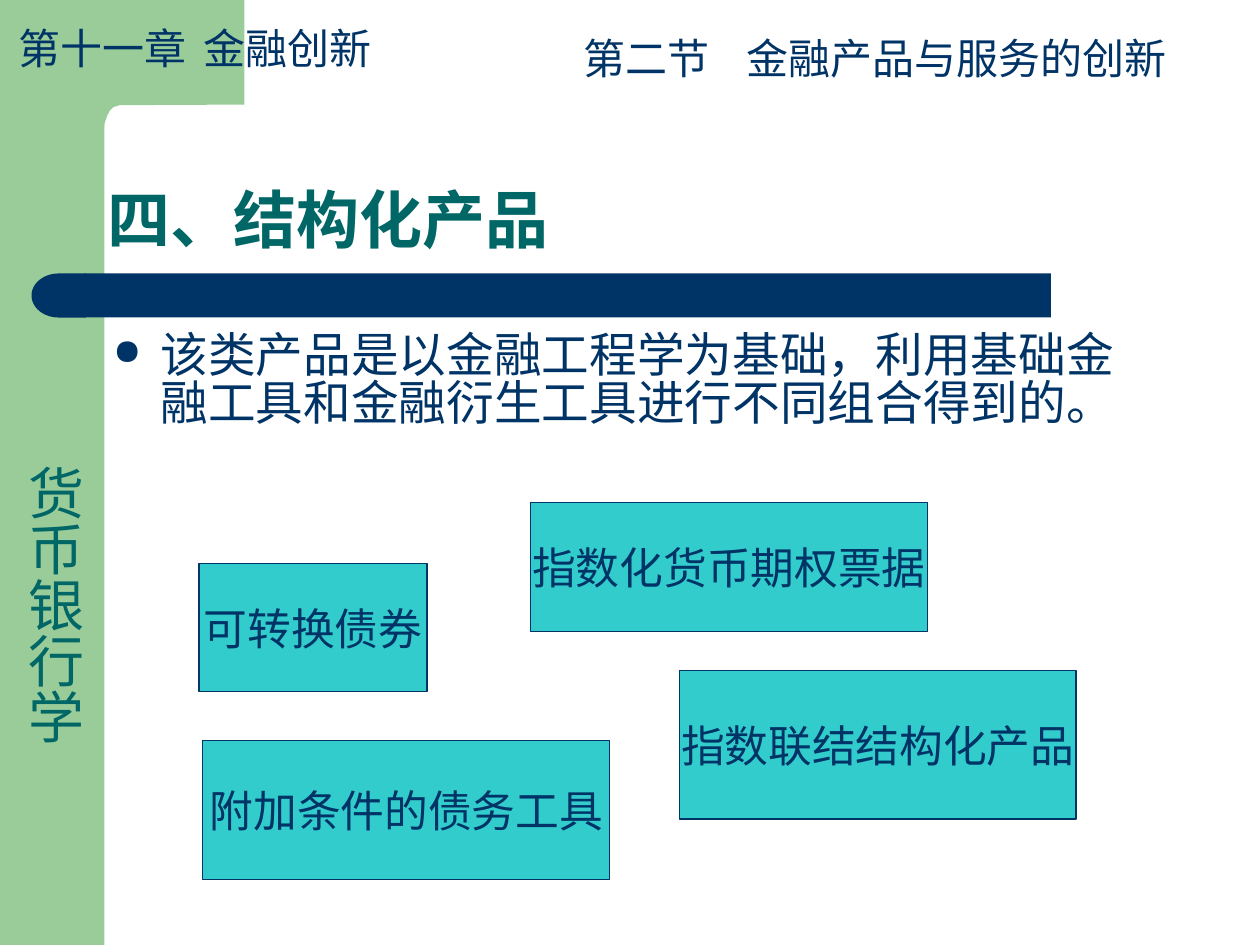
import pptx
import pptx.dml.color
import pptx.enum.shapes
import pptx.enum.text
import pptx.oxml.ns
import pptx.util
import lxml.etree

NAVY = pptx.dml.color.RGBColor(0x00, 0x33, 0x66)
TEAL = pptx.dml.color.RGBColor(0x00, 0x66, 0x66)
LEAF = pptx.dml.color.RGBColor(0x99, 0xCC, 0x99)
AQUA = pptx.dml.color.RGBColor(0x33, 0xCC, 0xCC)
ANCHOR = pptx.enum.text.MSO_ANCHOR
ALIGN = pptx.enum.text.PP_ALIGN
SHAPE = pptx.enum.shapes.MSO_SHAPE


class LectureSlide:
    font_name = "Arial"
    columns = 100
    rows = 75

    def __init__(self, presentation):
        self.column = presentation.slide_width / self.columns
        self.row = presentation.slide_height / self.rows
        self.slide = presentation.slides.add_slide(presentation.slide_layouts[5])

    def place(self, left, top, width, height):
        return (round(left * self.column), round(top * self.row),
                round(width * self.column), round(height * self.row))

    def add_words(self, shape, text, size, color, bold=False, anchor=ANCHOR.TOP,
                  align=ALIGN.LEFT, wrap=True):
        frame = shape.text_frame
        frame.auto_size = pptx.enum.text.MSO_AUTO_SIZE.NONE
        frame.word_wrap = wrap
        frame.vertical_anchor = anchor
        paragraph = frame.paragraphs[0]
        paragraph.alignment = align
        run = paragraph.add_run()
        run.text = text
        run.font.name = self.font_name
        run.font.size = pptx.util.Pt(size)
        run.font.bold = bold
        run.font.color.rgb = color
        return paragraph

    def title(self, text, area):
        shape = self.slide.shapes.title
        shape.left, shape.top, shape.width, shape.height = self.place(*area)
        paragraph = self.add_words(shape, text, 36, TEAL, True, ANCHOR.BOTTOM)
        paragraph.line_spacing = 0.9

    def paint(self, shape, color):
        shape.shadow.inherit = False
        shape.fill.solid()
        shape.fill.fore_color.rgb = color
        shape.line.fill.background()
        return shape

    def block(self, kind, area, color):
        shape = self.slide.shapes.add_shape(kind, *self.place(*area))
        return self.paint(shape, color)

    def outline(self, points, color):
        corners = [self.place(x, y, 0, 0)[:2] for x, y in points]
        builder = self.slide.shapes.build_freeform(*corners[0], scale=1.0)
        builder.add_line_segments(corners[1:], close=True)
        self.paint(builder.convert_to_shape(), color)

    def text(self, text, area, size, color):
        shape = self.slide.shapes.add_textbox(*self.place(*area))
        return shape, self.add_words(shape, text, size, color)

    def heading(self, number, name, area, stop):
        paragraph = self.text(f"{number}\t{name}", area, 24, NAVY)[1]
        properties = paragraph._p.get_or_add_pPr()
        tabs = lxml.etree.SubElement(properties, pptx.oxml.ns.qn("a:tabLst"))
        lxml.etree.SubElement(tabs, pptx.oxml.ns.qn("a:tab"),
                              pos=str(round(stop * self.column)), algn="l")

    def vertical(self, text, area):
        shape = self.text(text, area, 32, TEAL)[0]
        frame = shape.text_frame
        frame.margin_left = frame.margin_right = pptx.util.Inches(0.05)
        frame.margin_top = frame.margin_bottom = pptx.util.Inches(0.1)
        frame._txBody.bodyPr.set("vert", "eaVert")

    def bullet(self, text, area):
        paragraph = self.text(text, area, 27.2, NAVY)[1]
        paragraph.line_spacing = 0.83
        properties = paragraph._p.get_or_add_pPr()
        indent = round(3.75 * self.column)
        properties.set("marL", str(indent))
        properties.set("indent", str(-indent))
        color = lxml.etree.SubElement(properties, pptx.oxml.ns.qn("a:buClr"))
        lxml.etree.SubElement(color, pptx.oxml.ns.qn("a:srgbClr"), val=str(NAVY))
        lxml.etree.SubElement(properties, pptx.oxml.ns.qn("a:buSzPct"), val="75000")
        lxml.etree.SubElement(properties, pptx.oxml.ns.qn("a:buChar"), char="●")

    def product(self, text, area):
        shape = self.block(SHAPE.RECTANGLE, area, AQUA)
        shape.line.color.rgb = NAVY
        shape.line.width = pptx.util.Pt(0.75)
        self.add_words(shape, text, 25, NAVY, anchor=ANCHOR.MIDDLE,
                       align=ALIGN.CENTER, wrap=False)


def main():
    presentation = pptx.Presentation()
    presentation.slide_width = pptx.util.Inches(10)
    presentation.slide_height = pptx.util.Inches(7.5)
    lecture = LectureSlide(presentation)

    lecture.block(SHAPE.RECTANGLE, (0, 0, 8.3, 75), LEAF)
    lecture.outline([(19.4, 0), (19.4, 8.3), (9.5, 8.35), (9, 8.5), (8.7, 8.8),
                     (8.5, 9.2), (8.3, 9.8), (8.2, 10.4), (8.1, 11.6),
                     (8.1, 12.8), (6.7, 12.8), (6.7, 0)], LEAF)
    lecture.block(SHAPE.RECTANGLE, (6.7, 21.7, 76.7, 3.5), NAVY)
    cap = lecture.block(SHAPE.FLOWCHART_DELAY, (2.5, 21.7, 4.3, 3.5), NAVY)
    cap.rotation = 180

    lecture.vertical("货币银行学", (0.2, 35.9, 7.3, 26))
    lecture.heading("第二节", "金融产品与服务的创新", (45.3, 2.1, 52, 5), 13)
    lecture.heading("第十一章", "金融创新", (0.5, 1.3, 37.6, 5), 14.7)
    lecture.title("四、结构化产品", (7.5, 8.4, 92.5, 12.5))
    lecture.bullet("该类产品是以金融工程学为基础，利用基础金融工具和金融衍生工具进行不同组合得到的。",
                   (8, 26.1, 84.1, 11.3))

    products = {
        "可转换债券": (15.8, 44.7, 18.1, 10.2),
        "指数化货币期权票据": (42.1, 39.9, 31.5, 10.2),
        "附加条件的债务工具": (16.1, 58.8, 32.3, 11),
        "指数联结结构化产品": (53.9, 53.2, 31.5, 11.8),
    }
    for name, area in products.items():
        lecture.product(name, area)

    presentation.save("out.pptx")


if __name__ == "__main__":
    main()
